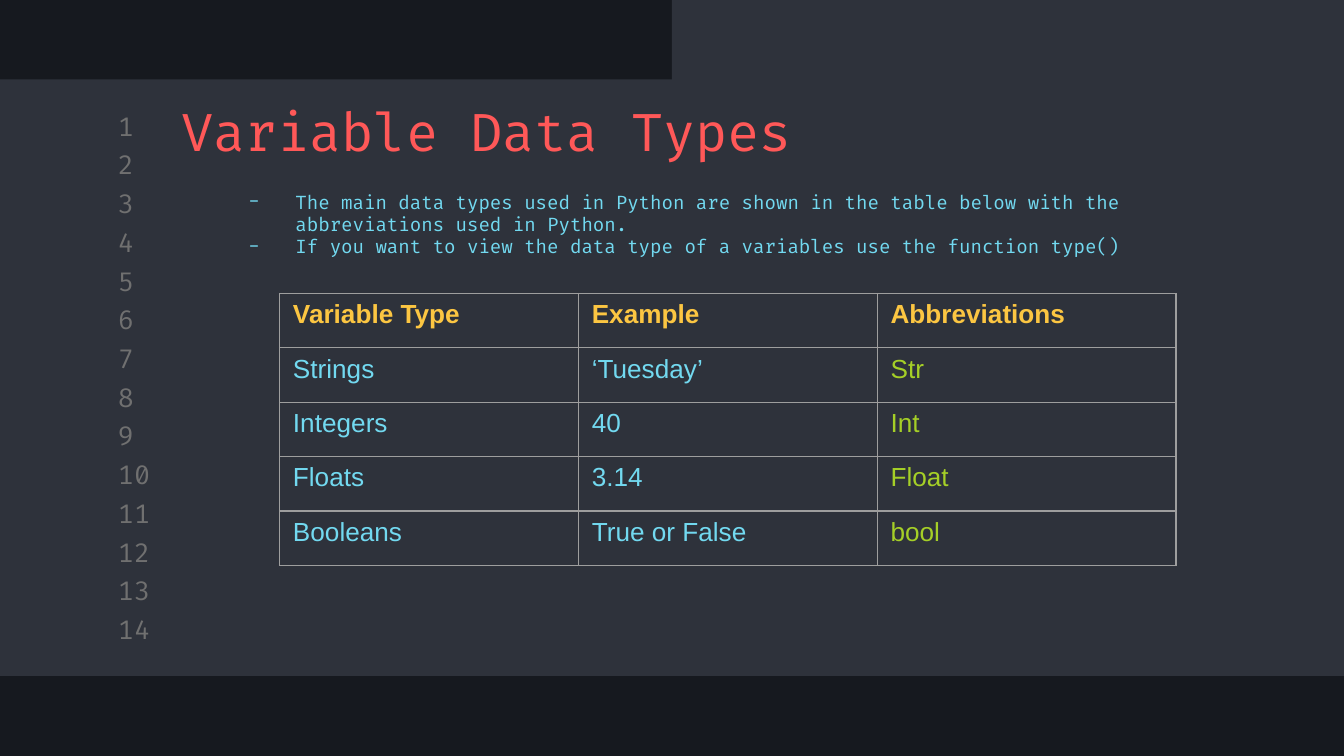
from dataclasses import dataclass

from lxml.etree import SubElement
from pptx import Presentation
from pptx.dml.color import RGBColor
from pptx.enum.shapes import MSO_SHAPE
from pptx.enum.text import MSO_ANCHOR
from pptx.oxml.ns import qn
from pptx.util import Inches, Pt


@dataclass(frozen=True)
class Theme:
    background: str = "16191F"
    panel: str = "2E323B"
    muted: str = "707070"
    red: str = "FF5858"
    blue: str = "72D9F0"
    yellow: str = "FCC642"
    green: str = "A5CF27"
    border: str = "9E9E9E"
    code_font: str = "Fira Code"
    table_font: str = "Arial"
    title_size: int = 28
    label_size: int = 14
    body_size: int = 10


THEME = Theme()
WIDTH, HEIGHT = Inches(10), Inches(5.625)
LINE_COUNT = 14
LINE_TOP, LINE_PITCH = 14.5, 5.12

BULLETS = [
    "The main data types used in Python are shown in the table below "
    "with the abbreviations used in Python.",
    "If you want to view the data type of a variables use the function type()",
]
ROWS = [
    ("Variable Type", "Example", "Abbreviations"),
    ("Strings", "‘Tuesday’", "Str"),
    ("Integers", "40", "Int"),
    ("Floats", "3.14", "Float"),
    ("Booleans", "True or False", "bool"),
]


def area(left, top, width, height):
    """Turn percentages of the slide's size into lengths."""
    return (int(WIDTH * left / 100), int(HEIGHT * top / 100),
            int(WIDTH * width / 100), int(HEIGHT * height / 100))


def format_runs(p, font, size, color, bold=False):
    for r in p.runs:
        r.font.name = font
        r.font.size = Pt(size)
        r.font.bold = bold
        r.font.color.rgb = RGBColor.from_string(color)


def add_panel(s, *box):
    sp = s.shapes.add_shape(MSO_SHAPE.RECTANGLE, *area(*box))
    sp.shadow.inherit = False
    sp.fill.solid()
    sp.fill.fore_color.rgb = RGBColor.from_string(THEME.panel)
    sp.line.fill.background()


def add_text(s, box, text, size, color, anchor=MSO_ANCHOR.MIDDLE):
    tf = s.shapes.add_textbox(*area(*box)).text_frame
    tf.word_wrap = True
    tf.vertical_anchor = anchor
    tf.margin_left = tf.margin_right = Inches(0.1)
    tf.margin_top = tf.margin_bottom = Inches(0.1)
    tf.text = text
    for p in tf.paragraphs:
        format_runs(p, THEME.code_font, size, color)
    return tf


def add_dash(p):
    """Give a paragraph a coloured dash and a hanging indent."""
    pPr = p._p.get_or_add_pPr()
    pPr.set("marL", str(Inches(0.5)))
    pPr.set("indent", str(-Inches(0.35)))
    color = SubElement(pPr, qn("a:buClr"))
    SubElement(color, qn("a:srgbClr"), val=THEME.blue)
    SubElement(pPr, qn("a:buFont"), typeface=THEME.code_font)
    SubElement(pPr, qn("a:buChar"), char="-")


def add_borders(cell):
    tcPr = cell._tc.get_or_add_tcPr()
    for index, side in enumerate(("lnL", "lnR", "lnT", "lnB")):
        ln = tcPr.makeelement(qn(f"a:{side}"), {"w": str(Pt(0.75))})
        fill = SubElement(ln, qn("a:solidFill"))
        SubElement(fill, qn("a:srgbClr"), val=THEME.border)
        tcPr.insert(index, ln)


def add_type_table(s, *box):
    left, top, width, height = area(*box)
    table = s.shapes.add_table(len(ROWS), len(ROWS[0]),
                               left, top, width, height).table
    table.horz_banding = False
    column_colors = (THEME.blue, THEME.blue, THEME.green)
    for i, row in enumerate(ROWS):
        for j, text in enumerate(row):
            cell = table.cell(i, j)
            cell.text = text
            cell.fill.background()
            add_borders(cell)
            header = i == 0
            color = THEME.yellow if header else column_colors[j]
            format_runs(cell.text_frame.paragraphs[0], THEME.table_font,
                        THEME.label_size, color, bold=header)


def main():
    prs = Presentation()
    prs.slide_width, prs.slide_height = WIDTH, HEIGHT
    s = prs.slides.add_slide(prs.slide_layouts[6])
    s.background.fill.solid()
    s.background.fill.fore_color.rgb = RGBColor.from_string(THEME.background)

    add_panel(s, 0, 10.5, 100, 78.9)
    add_panel(s, 50, 0, 50, 11.5)
    for i in range(LINE_COUNT):
        add_text(s, (7.8, LINE_TOP + i * LINE_PITCH, 4.7, 4.3), str(i + 1),
                 THEME.label_size, THEME.muted)

    add_text(s, (12.5, 11.4, 79.7, 10.5), "Variable Data Types",
             THEME.title_size, THEME.red, MSO_ANCHOR.TOP)
    tf = add_text(s, (16, 20.6, 76.2, 18.1), "\n".join(BULLETS),
                  THEME.body_size, THEME.blue)
    for p in tf.paragraphs:
        add_dash(p)
    add_type_table(s, 20.8, 38.8, 66.7, 36)

    prs.save("out.pptx")


if __name__ == "__main__":
    main()
